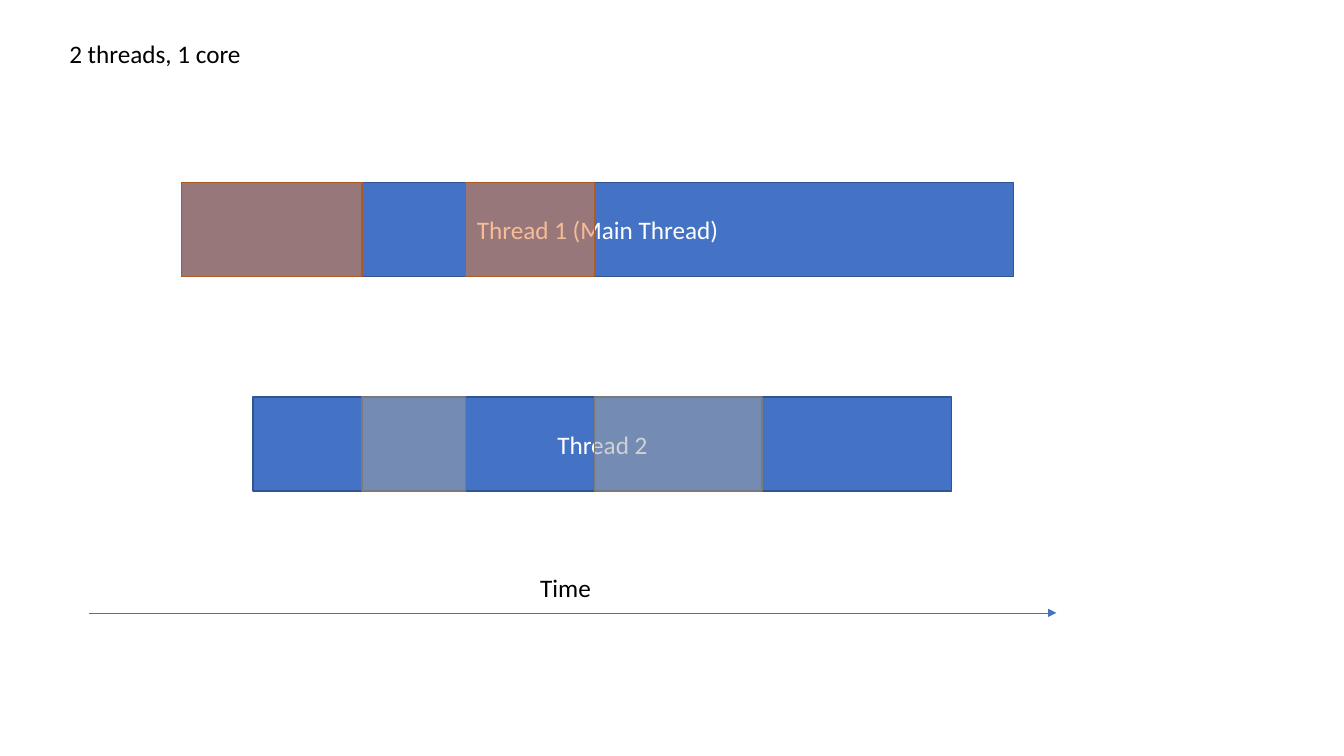
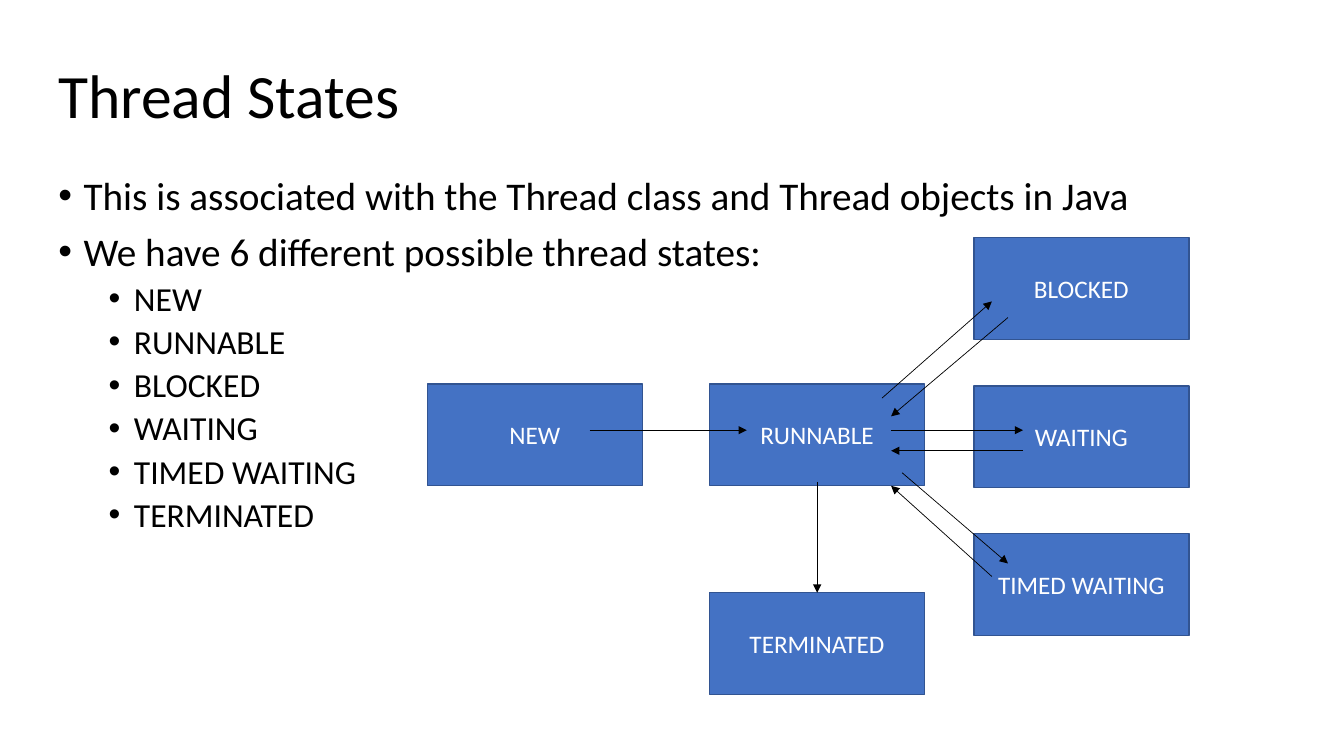
from dataclasses import dataclass
from lxml import etree
from pptx import Presentation
from pptx import util as u
from pptx.dml.color import RGBColor
from pptx.enum import shapes, text
from pptx.oxml.ns import qn


@dataclass
class Theme:
    font: str = "Calibri"
    ink: str = "000000"
    white: str = "FFFFFF"
    blue: tuple = ("4472C4", "325491")
    rust: tuple = ("ED7D31", "AF5C24")
    gray: tuple = ("A5A5A5", "7A7A7A")
    title: int = 44
    body: int = 28
    sub: int = 24
    label: int = 18
    edge: float = 1
    thin: float = 0.5


theme = Theme()


def write(frame, line, size, color, form=None):
    """Fill the last paragraph of a frame, with extra paragraph formats."""
    para = frame.paragraphs[-1]
    for key, val in (form or {}).items():
        setattr(para, key, val)
    run = para.add_run()
    run.text = line
    font = {"name": theme.font, "size": u.Pt(size)}
    for key, val in font.items():
        setattr(run.font, key, val)
    run.font.color.rgb = RGBColor.from_string(color)
    return para


def block(slide, area, tone=None, line="", clear=False):
    """Add a bordered box with a centred label, or a text box if no tone."""
    area = [u.Pt(n) for n in area]
    if tone is None:
        item = slide.shapes.add_textbox(*area)
        item.text_frame.word_wrap = True
        return item.text_frame
    item = slide.shapes.add_shape(shapes.MSO_SHAPE.RECTANGLE, *area)
    item.shadow.inherit = False
    item.fill.solid()
    item.fill.fore_color.rgb = RGBColor.from_string(tone[0])
    item.line.color.rgb = RGBColor.from_string(tone[1])
    item.line.width = u.Pt(theme.edge)
    if clear:
        color = item.element.spPr.find(qn("a:solidFill"))[0]
        etree.SubElement(color, qn("a:alpha"), val="50000")
    frame = item.text_frame
    frame.vertical_anchor = text.MSO_ANCHOR.MIDDLE
    if line:
        write(frame, line, theme.label, theme.white,
              {"alignment": text.PP_ALIGN.CENTER})
    return frame


deck = Presentation()
deck.slide_width, deck.slide_height = u.Pt(960), u.Pt(540)
cores, states = [deck.slides.add_slide(deck.slide_layouts[6]) for _ in range(2)]

# Slide 1: thread bars
high = 67.2
tops = (130.3, 283.6)
block(cores, (180.8, tops[1], 499, high), theme.blue, "Thread 2")
block(cores, (129.6, tops[0], 594.6, high), theme.blue, "Thread 1 (Main Thread)")

# Time slices alternate between the two threads
cuts = (129.6, 258.5, 332.5, 424.8, 544.4)
tones = (theme.rust, theme.gray)
for n, (left, right) in enumerate(zip(cuts, cuts[1:])):
    row = n % 2
    block(cores, (left, tops[row], right - left, high), tones[row], clear=True)

# Captions
for area, line in (((42.4, 24, 424, 29), "2 threads, 1 core"),
                   ((378.8, 405.4, 312.5, 29), "Time")):
    write(block(cores, area), line, theme.label, theme.ink)

# Slide 2: title and bullets
frame = block(states, (34.6, 18, 828, 104.4))
frame.vertical_anchor = text.MSO_ANCHOR.MIDDLE
write(frame, "Thread States", theme.title, theme.ink, {"line_spacing": 0.9})

names = ("NEW", "RUNNABLE", "BLOCKED", "WAITING", "TIMED WAITING", "TERMINATED")
points = [(0, "This is associated with the Thread class and Thread objects in Java"),
          (0, "We have 6 different possible thread states:")]
points += [(1, name) for name in names]
sizes = (theme.body, theme.sub)
frame = block(states, (34.6, 122.4, 828, 342.7))
for n, (level, line) in enumerate(points):
    if n:
        frame.add_paragraph()
    para = write(frame, line, sizes[level], theme.ink,
                 {"level": level, "line_spacing": 0.9,
                  "space_before": u.Pt((10, 5)[level])})
    props = para._p.get_or_add_pPr()
    props.set("marL", str(u.Pt(18 + 36 * level)))
    props.set("indent", str(u.Pt(-18)))
    etree.SubElement(props, qn("a:buFont"), typeface="Arial")
    etree.SubElement(props, qn("a:buChar"), char="•")

# State boxes, in the order of the names
spots = ((305.2, 274.2), (506.8, 274.2), (695.6, 169.8),
         (695.6, 275.6), (695.6, 381), (506.8, 423.4))
for name, spot in zip(names, spots):
    block(states, (*spot, 153.6, 72.8), theme.blue, name)

# Arrows on both slides: start x, y, end x, y
moves = ((421.2, 307.3, 533.5, 307.3),
         (630, 284.4, 708.5, 215.3), (720, 226.8, 636.5, 297.4),
         (636.5, 307.3, 730.8, 307.3), (730.8, 322, 636.5, 322),
         (644.4, 337.7, 720, 402.5), (708.5, 411.8, 636.5, 347),
         (583.7, 344.2, 583.7, 423.4))
lines = [(cores, theme.blue[0], (63.4, 437.8, 754.6, 437.8))]
lines += [(states, theme.ink, move) for move in moves]
for slide, color, ends in lines:
    arrow = slide.shapes.add_connector(
        shapes.MSO_CONNECTOR.STRAIGHT, *[u.Pt(n) for n in ends])
    arrow.line.color.rgb = RGBColor.from_string(color)
    arrow.line.width = u.Pt(theme.thin)
    etree.SubElement(arrow.line._get_or_add_ln(), qn("a:tailEnd"), type="triangle")
    etree.SubElement(arrow.element.spPr, qn("a:effectLst"))

deck.save("out.pptx")
